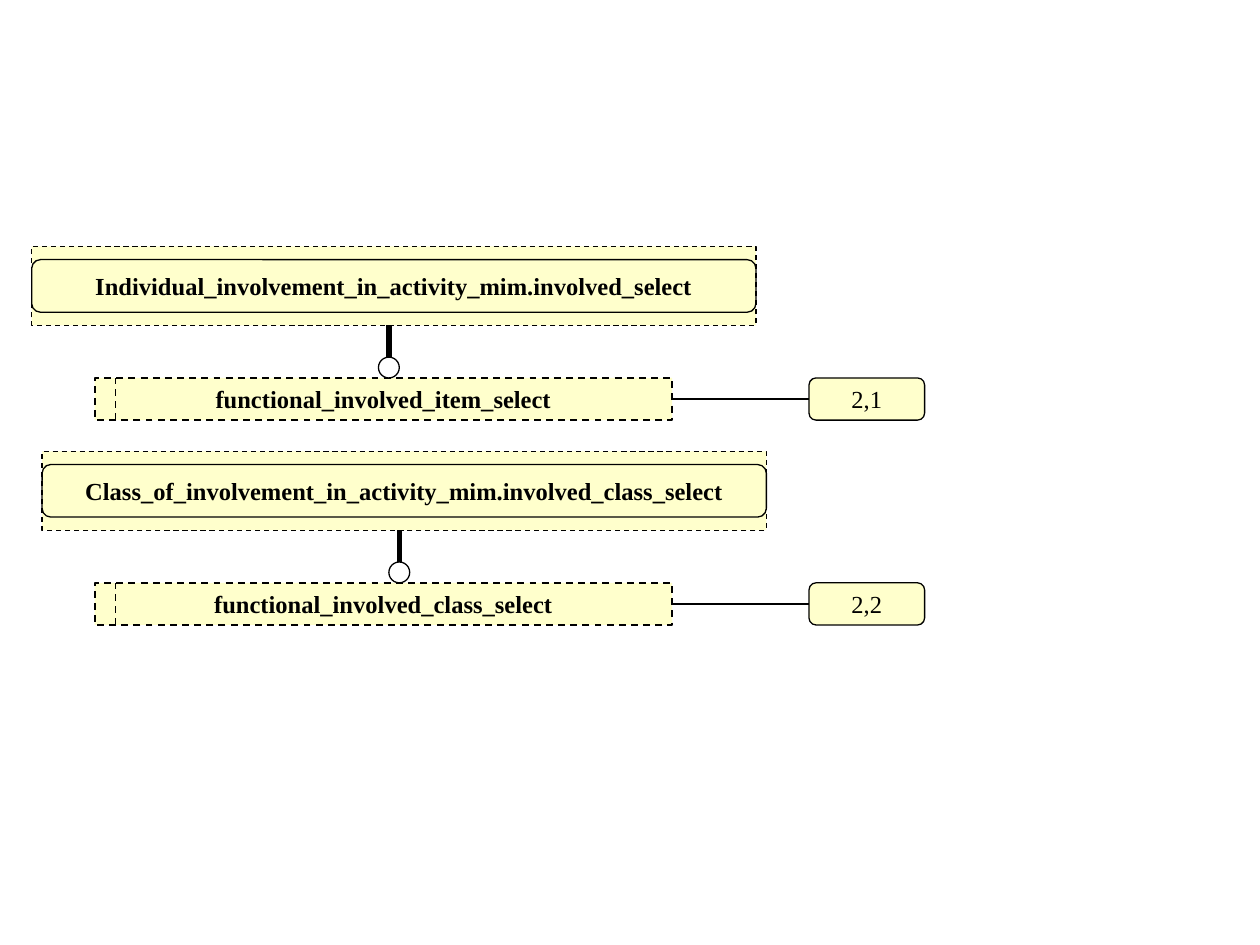
from dataclasses import dataclass

from lxml.etree import SubElement
from pptx import Presentation
from pptx.dml.color import RGBColor
from pptx.enum.dml import MSO_LINE
from pptx.enum.shapes import MSO_CONNECTOR, MSO_SHAPE
from pptx.enum.text import MSO_ANCHOR, PP_ALIGN
from pptx.oxml.ns import qn
from pptx.util import Cm, Pt


@dataclass(frozen=True)
class Theme:
    """Hold the colours, font, type size and line widths of the diagram."""

    ink: RGBColor = RGBColor(0x00, 0x00, 0x00)
    paper: RGBColor = RGBColor(0xFF, 0xFF, 0xFF)
    box: RGBColor = RGBColor(0xFF, 0xFF, 0xCC)
    font: str = "Times New Roman"
    size: Pt = Pt(14)
    thin: Pt = Pt(0.75)
    medium: Pt = Pt(1)
    thick: Pt = Pt(3)


@dataclass(frozen=True)
class Box:
    """Describe a rectangle in centimetres."""

    left: float
    top: float
    width: float
    height: float

    @property
    def middle(self):
        """Return the vertical centre."""
        return self.top + self.height / 2

    @property
    def right(self):
        """Return the right edge."""
        return self.left + self.width

    @property
    def bottom(self):
        """Return the lower edge."""
        return self.top + self.height


THEME = Theme()


def apply_format(target, values):
    """Set each attribute of the target from a dict."""
    for name, value in values.items():
        setattr(target, name, value)


def format_line(line, width, dash=None):
    """Give a line its colour, width and dash style."""
    line.color.rgb = THEME.ink
    apply_format(line, {"width": width, "dash_style": dash})


def add_box(slide, kind, box, fill=None, width=THEME.thin, dash=None):
    """Add an outlined shape and return it."""
    shape = slide.shapes.add_shape(
        kind, Cm(box.left), Cm(box.top), Cm(box.width), Cm(box.height)
    )
    shape.shadow.inherit = False
    if fill is None:
        shape.fill.background()
    else:
        shape.fill.solid()
        shape.fill.fore_color.rgb = fill
    format_line(shape.line, width, dash)
    return shape


def add_label(shape, text, bold=True):
    """Write one centred line of text in a shape."""
    apply_format(
        shape.text_frame,
        {"word_wrap": False, "vertical_anchor": MSO_ANCHOR.MIDDLE},
    )
    paragraph = shape.text_frame.paragraphs[0]
    paragraph.alignment = PP_ALIGN.CENTER
    run = paragraph.add_run()
    run.text = text
    apply_format(run.font, {"name": THEME.font, "size": THEME.size, "bold": bold})
    run.font.color.rgb = THEME.ink


def add_line(slide, start, end, width=THEME.thin, dash=None):
    """Connect two points given in centimetres."""
    connector = slide.shapes.add_connector(
        MSO_CONNECTOR.STRAIGHT, *(Cm(value) for value in (*start, *end))
    )
    format_line(connector.line, width, dash)
    SubElement(connector._element.spPr, qn("a:effectLst"))


def add_select_type(slide, box, name):
    """Draw a dashed select type with its divider."""
    shape = add_box(
        slide, MSO_SHAPE.RECTANGLE, box, THEME.box, THEME.medium, MSO_LINE.DASH
    )
    add_label(shape, name)
    divider = box.left + 0.42
    add_line(
        slide, (divider, box.bottom), (divider, box.top), THEME.medium, MSO_LINE.DASH
    )


def add_page_reference(slide, box, reference):
    """Draw a rounded page reference."""
    shape = add_box(slide, MSO_SHAPE.ROUNDED_RECTANGLE, box, THEME.box)
    add_label(shape, reference, bold=False)


def add_external_type(slide, box, name):
    """Draw a dashed external type around a rounded frame."""
    shape = add_box(slide, MSO_SHAPE.RECTANGLE, box, THEME.box, dash=MSO_LINE.DASH)
    add_label(shape, name)
    inset = box.height / 6
    frame = Box(box.left, box.top + inset, box.width, box.height - 2 * inset)
    add_box(slide, MSO_SHAPE.ROUNDED_RECTANGLE, frame)


def add_subtype_link(slide, centre, top, bottom):
    """Draw a thick stem that ends in a circle."""
    diameter = 0.42
    circle = Box(centre - diameter / 2, bottom - diameter, diameter, diameter)
    add_box(slide, MSO_SHAPE.OVAL, circle, THEME.paper)
    add_line(slide, (centre, circle.top), (centre, top), THEME.thick)


def add_select_diagram(slide, box, indent, external_name, select_name, reference):
    """Draw an external type, its select type and the page reference in a box."""
    row_height = 0.85
    row_top = box.bottom - row_height
    external = Box(box.left + indent, box.top, 14.6, 1.59)
    select = Box(box.left + 1.27, row_top, 11.64, row_height)
    page = Box(box.right - 2.33, row_top, 2.33, row_height)
    add_select_type(slide, select, select_name)
    add_page_reference(slide, page, reference)
    add_line(slide, (select.right, select.middle), (page.left, page.middle))
    add_external_type(slide, external, external_name)
    add_subtype_link(slide, external.left + 7.2, external.bottom, select.top)


def main():
    """Build the slide and save it."""
    presentation = Presentation()
    apply_format(
        presentation, {"slide_width": Cm(25.4), "slide_height": Cm(19.05)}
    )
    slide = presentation.slides.add_slide(presentation.slide_layouts[6])
    diagrams = (
        (
            0,
            "Individual_involvement_in_activity_mim.involved_select",
            "functional_involved_item_select",
            "2,1",
        ),
        (
            0.21,
            "Class_of_involvement_in_activity_mim.involved_class_select",
            "functional_involved_class_select",
            "2,2",
        ),
    )
    for index, diagram in enumerate(diagrams):
        box = Box(0.64, 4.97 + 4.13 * index, 18, 3.5)
        add_select_diagram(slide, box, *diagram)
    presentation.save("out.pptx")


if __name__ == "__main__":
    main()
